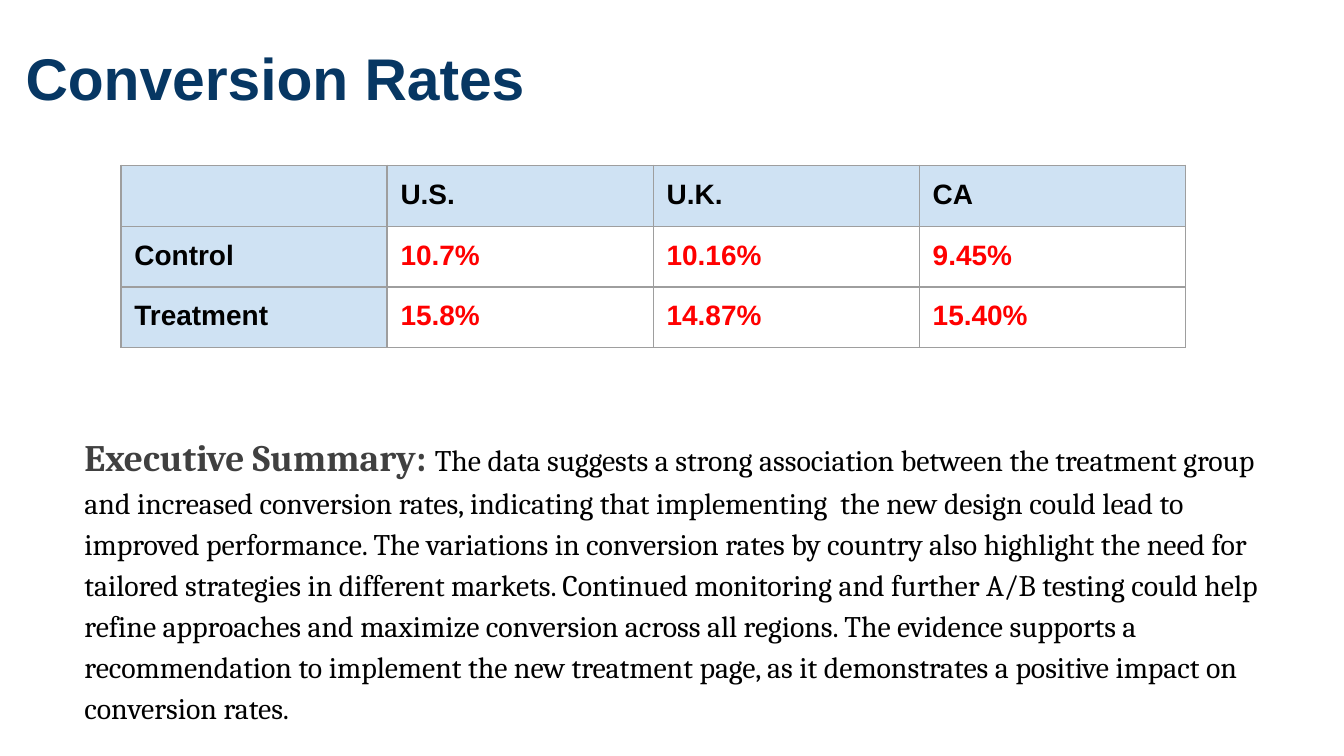
from lxml.etree import SubElement
from pptx import Presentation
from pptx.dml.color import RGBColor
from pptx.enum.text import MSO_ANCHOR as Anchor, PP_ALIGN as Align
from pptx.oxml.ns import qn
from pptx.util import Inches, Pt

NAVY, BLACK, GREY, RED = "073763", "000000", "404040", "FF0000"
PALE_BLUE, WHITE, BORDER = "CFE2F3", "FFFFFF", "9E9E9E"
TITLE_LAYOUT = 5
MARGIN = Inches(0.1)
CELL_SIZE = 15

RATES = [
    ["", "U.S.", "U.K.", "CA"],
    ["Control", "10.7%", "10.16%", "9.45%"],
    ["Treatment", "15.8%", "14.87%", "15.40%"],
]
SUMMARY = (
    "The data suggests a strong association between the treatment group and "
    "increased conversion rates, indicating that implementing  the new design "
    "could lead to improved performance. The variations in conversion rates by "
    "country also highlight the need for tailored strategies in different markets. "
    "Continued monitoring and further A/B testing could help refine approaches and "
    "maximize conversion across all regions. The evidence supports a recommendation "
    "to implement the new treatment page, as it demonstrates a positive impact on "
    "conversion rates."
)


def rgb(color):
    return RGBColor.from_string(color)


def add_span(para, text, size, color=BLACK, font="Arial", bold=False):
    span = para.add_run()
    span.text = text
    span.font.size = Pt(size)
    span.font.name = font
    span.font.bold = bold
    span.font.color.rgb = rgb(color)


def set_frame(frame):
    """Apply the margins, wrapping and top anchor shared by the text boxes."""
    frame.margin_left = frame.margin_right = MARGIN
    frame.margin_top = frame.margin_bottom = MARGIN
    frame.vertical_anchor = Anchor.TOP
    frame.word_wrap = True


def set_borders(cell, color, width):
    props = cell._tc.get_or_add_tcPr()
    for position, side in enumerate(("a:lnL", "a:lnR", "a:lnT", "a:lnB")):
        line = SubElement(props, qn(side), w=str(Pt(width)))
        fill = SubElement(line, qn("a:solidFill"))
        SubElement(fill, qn("a:srgbClr"), val=color)
        props.insert(position, line)


def add_title(page, text, left, top, width, height):
    title = page.shapes.title
    title.left, title.top = Inches(left), Inches(top)
    title.width, title.height = Inches(width), Inches(height)
    set_frame(title.text_frame)
    para = title.text_frame.paragraphs[0]
    para.alignment = Align.LEFT
    add_span(para, text, 31.5, NAVY, bold=True)


def add_rates_table(page, rows, left, top, width, height):
    table = page.shapes.add_table(
        len(rows), len(rows[0]),
        Inches(left), Inches(top), Inches(width), Inches(height),
    ).table
    for r, row in enumerate(rows):
        for c, text in enumerate(row):
            is_header = r == 0 or c == 0
            cell = table.cell(r, c)
            cell.margin_left = cell.margin_right = MARGIN
            cell.margin_top = cell.margin_bottom = MARGIN
            cell.fill.solid()
            cell.fill.fore_color.rgb = rgb(PALE_BLUE if is_header else WHITE)
            set_borders(cell, BORDER, 0.75)
            para = cell.text_frame.paragraphs[0]
            if text:
                add_span(para, text, CELL_SIZE, BLACK if is_header else RED, bold=True)
            else:
                # An empty cell at the default 18 pt would stretch its row.
                SubElement(para._p, qn("a:endParaRPr"), sz=str(CELL_SIZE * 100))


def add_summary(page, heading, text, left, top, width, height):
    box = page.shapes.add_textbox(
        Inches(left), Inches(top), Inches(width), Inches(height))
    set_frame(box.text_frame)
    para = box.text_frame.paragraphs[0]
    para.line_spacing = 1.15
    add_span(para, heading, 20, GREY, font="Cambria", bold=True)
    add_span(para, text, 16, font="Cambria")


def main():
    deck = Presentation()
    deck.slide_width = Inches(10)
    deck.slide_height = deck.slide_width * 9 // 16
    page = deck.slides.add_slide(deck.slide_layouts[TITLE_LAYOUT])
    add_title(page, "Conversion Rates", 0.09, 0.21, 10, 0.73)
    add_rates_table(page, RATES, 0.9, 1.23, 7.92, 1.35)
    add_summary(page, "Executive Summary: ", SUMMARY, 0.53, 3.08, 8.98, 2.45)
    deck.save("out.pptx")


if __name__ == "__main__":
    main()
